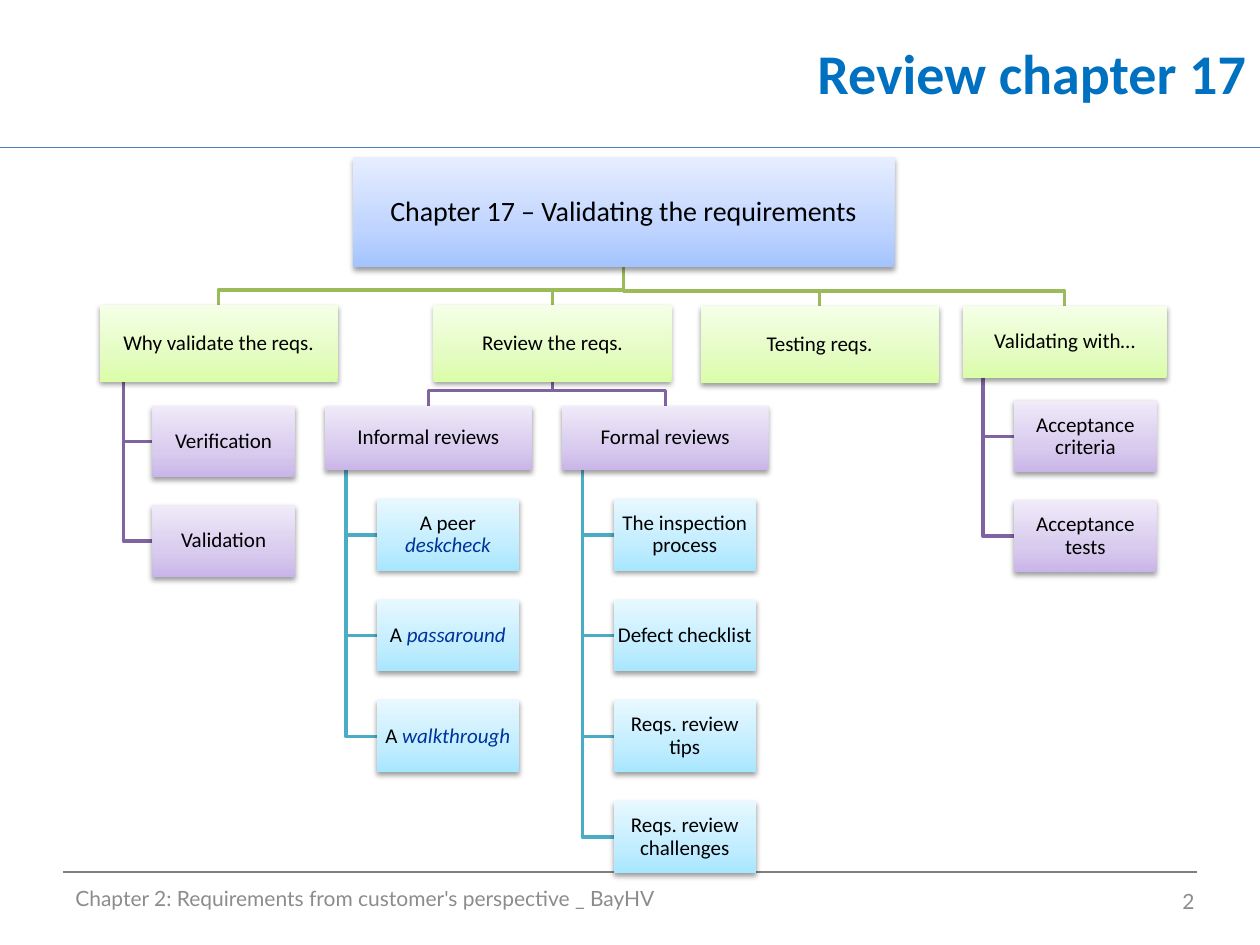
from dataclasses import dataclass, field
from typing import Iterator

from lxml.etree import SubElement
from pptx import Presentation
from pptx.dml.color import RGBColor
from pptx.enum.shapes import MSO_CONNECTOR as Connector, MSO_SHAPE as Preset
from pptx.enum.text import MSO_ANCHOR as Anchor, PP_ALIGN as Align
from pptx.oxml.ns import qn
from pptx.util import Inches, Pt

BLACK, TERM_BLUE, TITLE_BLUE = "000000", "003399", "0070C0"
FOOTER_GREY = "8C8C8C"
FORK_RISE = 0.12
STEM_SHARE = 0.1
LEAF_WIDTH, LEAF_HEIGHT = 1.13, 0.57


@dataclass(frozen=True)
class Level:
    bottom: str
    middle: str
    top: str
    line: str = BLACK
    size: int = 12


CHAPTER = Level("A4C4FF", "BFD4FF", "E6EEFF", size=16)
SECTION = Level("DAFDA7", "E4FCC2", "F5FFE7", "9BBB59")
TOPIC = Level("C9B5E8", "D8CBEE", "F0EAF9", "8064A2")
DETAIL = Level("A7E6FF", "C1EDFF", "E7F8FF", "4BACC6")


@dataclass
class Node:
    """A box of the chart; term is an emphasised word after the text."""
    text: str
    left: float
    top: float
    width: float
    height: float
    level: Level
    term: str = ""
    children: list["Node"] = field(default_factory=list)
    hanging: bool = True

    @property
    def center(self) -> float:
        return self.left + self.width / 2

    @property
    def middle(self) -> float:
        return self.top + self.height / 2

    @property
    def bottom(self) -> float:
        return self.top + self.height


def color(value: str) -> RGBColor:
    return RGBColor.from_string(value)


def leaves(left: float, top: float, pitch: float, level: Level,
           *labels: tuple[str, str]) -> list[Node]:
    return [Node(text, left, top + row * pitch, LEAF_WIDTH, LEAF_HEIGHT, level, term)
            for row, (text, term) in enumerate(labels)]


def walk(node: Node) -> Iterator[Node]:
    yield node
    for child in node.children:
        yield from walk(child)


def add_rule(slide, left: float, right: float, top: float, line: str) -> None:
    rule = slide.shapes.add_connector(
        Connector.STRAIGHT, Inches(left), Inches(top), Inches(right), Inches(top))
    rule.line.color.rgb = color(line)
    rule.line.width = Pt(0.75)
    SubElement(rule._element.spPr, qn("a:effectLst"))


def add_label(slide, text: str, left: float, top: float, width: float, height: float,
              align: Align, font: str, size: int, ink: str, bold: bool = False) -> None:
    box = slide.shapes.add_textbox(Inches(left), Inches(top), Inches(width), Inches(height))
    frame = box.text_frame
    frame.word_wrap = True
    frame.vertical_anchor = Anchor.MIDDLE
    paragraph = frame.paragraphs[0]
    paragraph.text = text
    paragraph.alignment = align
    paragraph.font.name = font
    paragraph.font.size = Pt(size)
    paragraph.font.bold = bold
    paragraph.font.color.rgb = color(ink)


def add_branch(slide, parent: Node, child: Node) -> None:
    if parent.hanging:
        stem = parent.left + STEM_SHARE * parent.width
        points = [(stem, parent.bottom), (stem, child.middle), (child.left, child.middle)]
    else:
        bend = child.top - FORK_RISE
        points = [(parent.center, parent.bottom), (parent.center, bend),
                  (child.center, bend), (child.center, child.top)]
    start, *rest = [(Inches(x), Inches(y)) for x, y in points]
    builder = slide.shapes.build_freeform(*start)
    builder.add_line_segments(rest, close=False)
    branch = builder.convert_to_shape()
    branch.fill.background()
    branch.line.color.rgb = color(child.level.line)
    branch.line.width = Pt(2)
    branch.shadow.inherit = False


def set_gradient(shape, level: Level) -> None:
    shape.fill.gradient()
    shape.fill.gradient_angle = 90
    stops = shape._element.spPr.find(f".//{qn('a:gsLst')}")
    for stop in list(stops):
        stops.remove(stop)
    for percent, value in ((0, level.bottom), (35, level.middle), (100, level.top)):
        stop = SubElement(stops, qn("a:gs"), pos=str(percent * 1000))
        SubElement(stop, qn("a:srgbClr"), val=value)


def set_shadow(shape) -> None:
    shape.shadow.inherit = False
    effects = shape._element.spPr.find(qn("a:effectLst"))
    shadow = SubElement(effects, qn("a:outerShdw"), blurRad=str(Pt(3.1)),
                        dist=str(Pt(1.6)), dir="5400000", rotWithShape="0")
    shade = SubElement(shadow, qn("a:srgbClr"), val=BLACK)
    SubElement(shade, qn("a:alpha"), val="38000")


def add_box(slide, node: Node) -> None:
    shape = slide.shapes.add_shape(Preset.RECTANGLE, Inches(node.left), Inches(node.top),
                                   Inches(node.width), Inches(node.height))
    set_gradient(shape, node.level)
    shape.line.fill.background()
    set_shadow(shape)
    frame = shape.text_frame
    frame.word_wrap = True
    frame.vertical_anchor = Anchor.MIDDLE
    frame.margin_left = frame.margin_right = Inches(0.01)
    frame.margin_top = frame.margin_bottom = Inches(0.01)
    paragraph = frame.paragraphs[0]
    paragraph.alignment = Align.CENTER
    paragraph.line_spacing = 0.9
    paragraph.font.name = "Calibri"
    paragraph.font.size = Pt(node.level.size)
    paragraph.font.color.rgb = color(BLACK)
    paragraph.add_run().text = node.text
    if node.term:
        term = paragraph.add_run()
        term.text = node.term
        term.font.italic = True
        term.font.color.rgb = color(TERM_BLUE)


def chapter_tree() -> Node:
    informal = Node("Informal reviews", 2.58, 3.22, 1.64, 0.51, TOPIC, children=leaves(
        2.99, 3.96, 0.8, DETAIL,
        ("A peer ", "deskcheck"), ("A ", "passaround"), ("A ", "walkthrough")))
    formal = Node("Formal reviews", 4.46, 3.22, 1.64, 0.51, TOPIC, children=leaves(
        4.87, 3.96, 0.8, DETAIL,
        ("The inspection process", ""), ("Defect checklist", ""),
        ("Reqs. review tips", ""), ("Reqs. review challenges", "")))
    sections = [
        Node("Why validate the reqs.", 0.79, 2.42, 1.89, 0.61, SECTION, children=leaves(
            1.21, 3.22, 0.79, TOPIC, ("Verification", ""), ("Validation", ""))),
        Node("Review the reqs.", 3.44, 2.42, 1.89, 0.61, SECTION,
             children=[informal, formal], hanging=False),
        Node("Testing reqs.", 5.56, 2.43, 1.89, 0.61, SECTION),
        Node("Validating with…", 7.64, 2.43, 1.62, 0.57, SECTION, children=leaves(
            8.05, 3.18, 0.79, TOPIC, ("Acceptance criteria", ""), ("Acceptance tests", ""))),
    ]
    return Node("Chapter 17 – Validating the requirements", 2.8, 1.25, 4.3, 0.87,
                CHAPTER, children=sections, hanging=False)


def main() -> None:
    presentation = Presentation()
    presentation.slide_width, presentation.slide_height = Inches(10), Inches(7.5)
    slide = presentation.slides.add_slide(presentation.slide_layouts[6])

    add_rule(slide, 0, 10, 1.17, "4B7EBC")
    add_rule(slide, 0.5, 9.5, 6.92, "808080")
    add_label(slide, "Review chapter 17", 2.9, 0, 7.09, 1.15,
              Align.RIGHT, "Calibri", 32, TITLE_BLUE, bold=True)
    add_label(slide, "Chapter 2: Requirements from customer's perspective _ BayHV",
              0.5, 6.93, 6.67, 0.4, Align.LEFT, "Lato", 12, FOOTER_GREY)
    add_label(slide, "2", 7.25, 6.95, 2.33, 0.4, Align.RIGHT, "Lato", 12, FOOTER_GREY)

    nodes = list(walk(chapter_tree()))
    for parent in nodes:
        for child in parent.children:
            add_branch(slide, parent, child)
    for node in nodes:
        add_box(slide, node)

    presentation.save("out.pptx")


if __name__ == "__main__":
    main()
